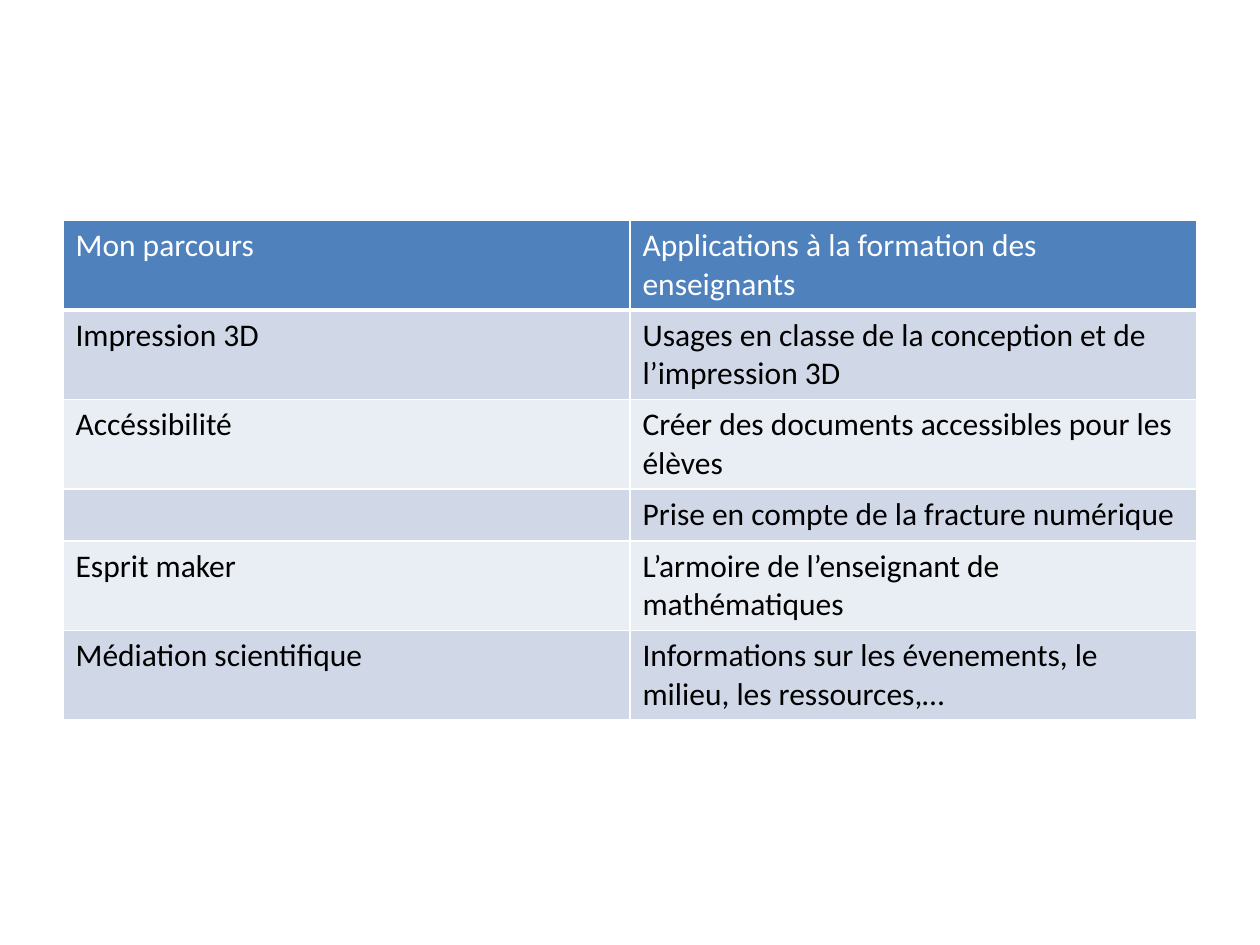
"""Build a slide with a table linking a career path to teacher training."""
from lxml import etree
from pptx import Presentation
from pptx.dml.color import RGBColor
from pptx.oxml.ns import qn
from pptx.util import Inches, Pt

BLANK_LAYOUT = 6
COLORS = {
    "header": "4F81BD",
    "odd": "D0D8E8",
    "even": "E9EDF4",
    "white": "FFFFFF",
    "black": "000000",
}
ROWS = [
    ("Mon parcours", "Applications à la formation des enseignants"),
    ("Impression 3D", "Usages en classe de la conception et de l’impression 3D"),
    ("Accéssibilité", "Créer des documents accessibles pour les élèves"),
    ("", "Prise en compte de la fracture numérique"),
    ("Esprit maker", "L’armoire de l’enseignant de mathématiques"),
    ("Médiation scientifique", "Informations sur les évenements, le milieu, les ressources,…"),
]
ROW_HEIGHTS = [0.71, 0.71, 0.71, 0.41, 0.71, 0.71]


def write_text(text_frame, text, *, color, font="Calibri", size=18):
    """Put one formatted run into the first paragraph."""
    run = text_frame.paragraphs[0].add_run()
    run.text = text
    run.font.name = font
    run.font.size = Pt(size)
    run.font.color.rgb = RGBColor.from_string(COLORS[color])


class SlideBuilder:
    """Hold the table style and the current slide."""

    def __init__(self, slide, border_color="white", border_width=1, header_rule=3):
        self.slide = slide
        self.border_color = border_color
        self.border_width = border_width
        self.header_rule = header_rule

    def add_borders(self, cell, bottom_width):
        """Draw the four borders of a cell."""
        properties = cell._tc.get_or_add_tcPr()
        for side in "LRTB":
            width = bottom_width if side == "B" else self.border_width
            line = etree.SubElement(properties, qn(f"a:ln{side}"), w=str(Pt(width)))
            fill = etree.SubElement(line, qn("a:solidFill"))
            etree.SubElement(fill, qn("a:srgbClr"), val=COLORS[self.border_color])

    def add_cell(self, cell, text, row_index):
        """Format a cell according to its row."""
        is_header = row_index == 0
        self.add_borders(cell, self.header_rule if is_header else self.border_width)
        fill_name = "header" if is_header else ("even", "odd")[row_index % 2]
        cell.fill.solid()
        cell.fill.fore_color.rgb = RGBColor.from_string(COLORS[fill_name])
        if text:
            write_text(cell.text_frame, text, color="white" if is_header else "black")

    def add_table(self, rows, heights, left, top, width):
        """Add a table with equal columns."""
        column_count = len(rows[0])
        shape = self.slide.shapes.add_table(
            len(rows), column_count, Inches(left), Inches(top), Inches(width), Inches(sum(heights))
        )
        table = shape.table
        for column in table.columns:
            column.width = Inches(width / column_count)
        for row_index, (texts, height) in enumerate(zip(rows, heights)):
            table.rows[row_index].height = Inches(height)
            for column_index, text in enumerate(texts):
                self.add_cell(table.cell(row_index, column_index), text, row_index)


def main():
    """Create and save the presentation."""
    presentation = Presentation()
    presentation.slide_width = Inches(10)
    presentation.slide_height = Inches(7.5)
    slide = presentation.slides.add_slide(presentation.slide_layouts[BLANK_LAYOUT])
    SlideBuilder(slide).add_table(ROWS, ROW_HEIGHTS, left=0.5, top=1.75, width=9)
    presentation.save("out.pptx")


if __name__ == "__main__":
    main()
